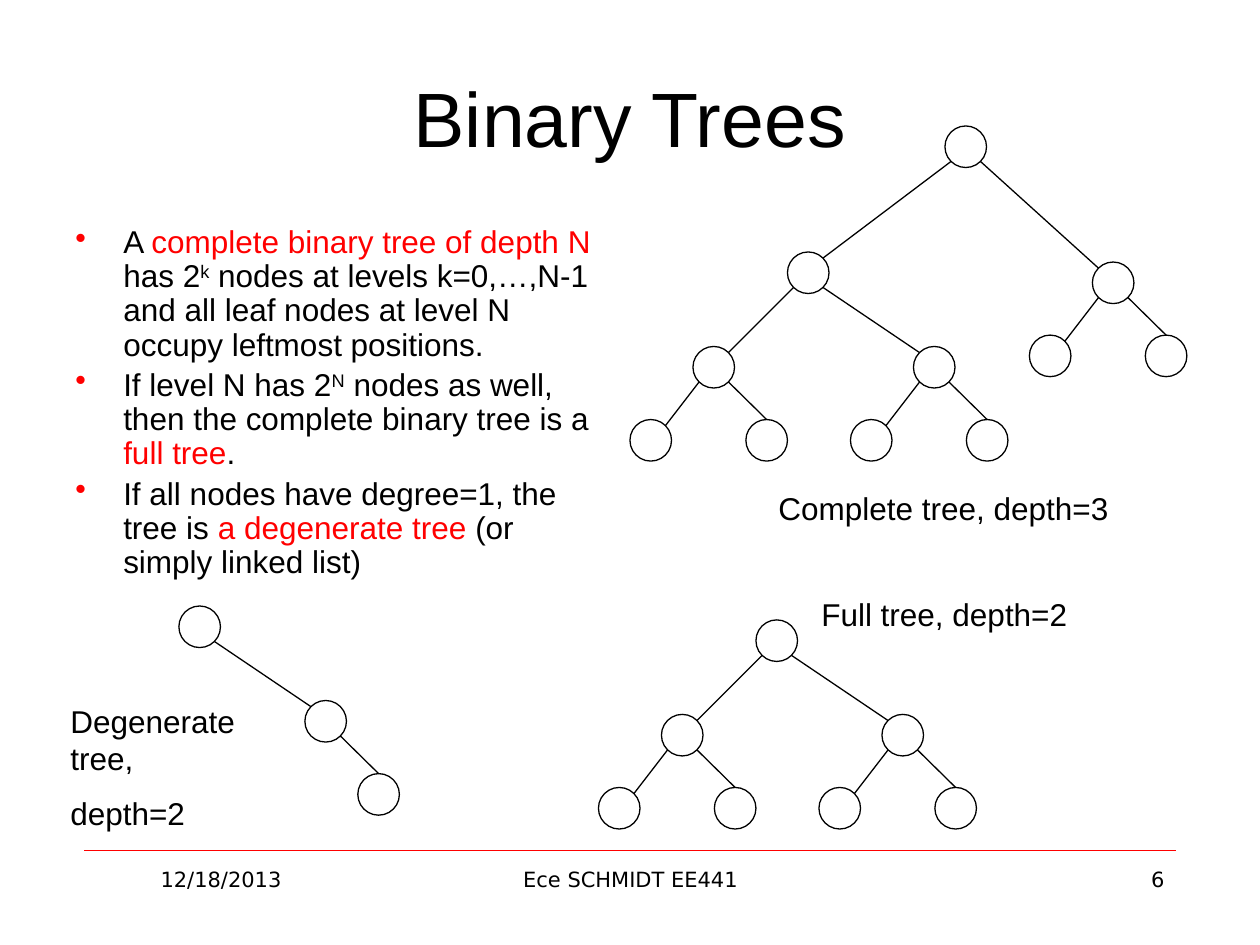
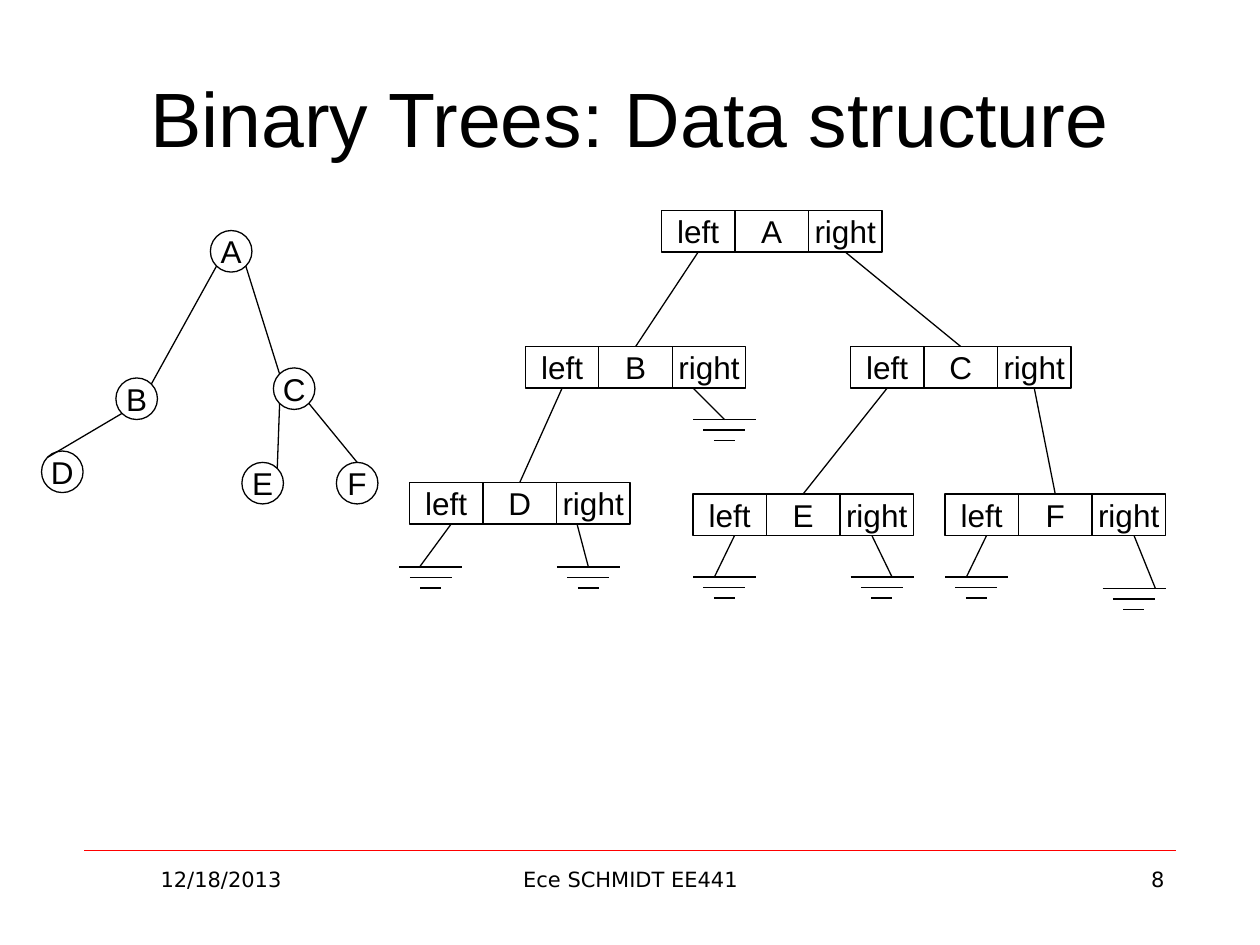
from lxml import etree
from pptx import Presentation
from pptx.dml.color import RGBColor
from pptx.enum.shapes import MSO_CONNECTOR as Connector, MSO_SHAPE as Preset
from pptx.enum.text import MSO_ANCHOR as Anchor, PP_ALIGN as Align
from pptx.oxml.ns import qn
from pptx.util import Inches, Pt

BLACK = RGBColor(0x00, 0x00, 0x00)
RED = RGBColor(0xFF, 0x00, 0x00)
BODY_FONT, FOOTER_FONT = "Arial", "DejaVu Sans"
FOOTER_TOP, FOOTER_HEIGHT = 6.83, 0.52
NODE = 0.33            # node diameter and record height
FIELD = 1.75 / 3       # width of one record field

# Points on a node where edges meet, as fractions of its diameter
SITES = {"top": (0.5, 0), "tl": (0.15, 0.15), "tr": (0.85, 0.15),
         "bl": (0.15, 0.85), "br": (0.85, 0.85)}


class Deck:
    def __init__(self):
        self.prs = Presentation()
        self.prs.slide_width, self.prs.slide_height = Inches(10), Inches(7.5)
        self.slide = None

    def new_slide(self, title, number):
        self.slide = self.prs.slides.add_slide(self.prs.slide_layouts[6])
        self.line((0.67, 6.75), (9.33, 6.75), RED, 0.25)
        footers = ((0.67, 2.17, "12/18/2013", Align.CENTER),
                   (3.42, 3.17, "Ece SCHMIDT EE441", Align.CENTER),
                   (7.17, 2.17, str(number), Align.RIGHT))
        for left, width, text, align in footers:
            self.text(left, FOOTER_TOP, width, FOOTER_HEIGHT, [text],
                      size=12, font=FOOTER_FONT, align=align)
        self.text(0.5, 0.3, 9, 1.25, [title], size=44, align=Align.CENTER,
                  anchor=Anchor.MIDDLE)

    def style(self, paragraph, size=18, font=BODY_FONT, align=Align.LEFT):
        paragraph.alignment = align
        paragraph.font.size = Pt(size)
        paragraph.font.name = font
        paragraph.font.color.rgb = BLACK

    def text(self, left, top, width, height, lines, anchor=Anchor.TOP,
             space_before=0, **style):
        frame = self.slide.shapes.add_textbox(
            Inches(left), Inches(top), Inches(width), Inches(height)).text_frame
        frame.word_wrap = True
        frame.vertical_anchor = anchor
        for index, line in enumerate(lines):
            paragraph = frame.add_paragraph() if index else frame.paragraphs[0]
            self.style(paragraph, **style)
            paragraph.space_before = Pt(space_before)
            # A line is plain text or a list of (text, look) pieces
            pieces = [(line, "")] if isinstance(line, str) else line
            for piece, look in pieces:
                run = paragraph.add_run()
                run.text = piece
                if look == "red":
                    run.font.color.rgb = RED
                elif look == "super":
                    run.font._element.set("baseline", "30000")
        return frame

    def bullets(self, left, top, width, height, lines):
        frame = self.text(left, top, width, height, lines, space_before=3.7)
        indent = Inches(0.38)
        for paragraph in frame.paragraphs:
            paragraph.line_spacing = 0.9
            props = paragraph._p.get_or_add_pPr()
            props.set("marL", str(indent))
            props.set("indent", str(-indent))
            colour = etree.Element(qn("a:buClr"))
            etree.SubElement(colour, qn("a:srgbClr")).set("val", str(RED))
            mark = etree.Element(qn("a:buChar"))
            mark.set("char", "•")
            spacing_end = props.index(props.find(qn("a:spcBef"))) + 1
            props[spacing_end:spacing_end] = [colour, mark]

    def label(self, left, top, width, height, *lines):
        self.text(left, top, width, height, lines, space_before=9.5)

    def line(self, start, end, colour=BLACK, weight=0.75, parts=None):
        parts = parts or self.slide.shapes
        link = parts.add_connector(Connector.STRAIGHT,
                                   *map(Inches, (*start, *end)))
        link.line.color.rgb = colour
        link.line.width = Pt(weight)
        etree.SubElement(link._element.spPr, qn("a:effectLst"))

    def outline(self, preset, left, top, width, text="", parts=None):
        parts = parts or self.slide.shapes
        box = parts.add_shape(preset, *map(Inches, (left, top, width, NODE)))
        box.shadow.inherit = False
        box.fill.background()
        box.line.color.rgb = BLACK
        box.line.width = Pt(0.75)
        if text:
            frame = box.text_frame
            frame.word_wrap = False
            frame.vertical_anchor = Anchor.MIDDLE
            frame.text = text
            self.style(frame.paragraphs[0], align=Align.CENTER)

    # Trees of round nodes; a node is known by its left and top
    def node(self, left, top, text=""):
        self.outline(Preset.OVAL, left, top, NODE, text)
        return left, top

    def edge(self, parent, start, child, end):
        ends = [tuple(at + NODE * share for at, share in zip(node, SITES[site]))
                for node, site in ((parent, start), (child, end))]
        self.line(*ends)

    def fork(self, left, top):
        """A node with two leaves."""
        parent = self.node(left, top)
        self.edge(parent, "bl", self.node(left - 0.5, top + 0.58), "tr")
        self.edge(parent, "br", self.node(left + 0.42, top + 0.58), "top")
        return parent

    def join(self, root, left_child, right_child):
        self.edge(root, "bl", left_child, "tr")
        self.edge(root, "br", right_child, "tl")
        return root

    def full_tree(self, left, top):
        """A full tree of depth 2 with its root at left, top."""
        return self.join(self.node(left, top),
                         self.fork(left - 0.75, top + 0.75),
                         self.fork(left + 1, top + 0.75))

    # Linked records
    def record(self, left, top, key):
        parts = self.slide.shapes.add_group_shape().shapes
        for index, field in enumerate(("left", key, "right")):
            self.outline(Preset.RECTANGLE, left + index * FIELD, top, FIELD,
                         field, parts)

    def pointer(self, parent, field, child):
        """Link field 0 (left) or 2 (right) of parent to the top of child."""
        self.line((parent[0] + (field + 0.5) * FIELD, parent[1] + NODE),
                  (child[0] + 1.5 * FIELD, child[1]))

    def ground(self, left, top):
        """Three shrinking bars that stand for a null pointer."""
        parts = self.slide.shapes.add_group_shape().shapes
        step = 0.25 / 3
        for index in range(3):
            inset, level = index * step, top + index * step
            self.line((left + inset, level), (left + 0.5 - inset, level),
                      parts=parts)


def tree_kinds(deck):
    deck.new_slide("Binary Trees", 6)
    deck.bullets(0.5, 1.75, 4.42, 4.95, [
        [("A ", ""), ("complete binary tree of depth N ", "red"),
         ("has 2", ""), ("k", "super"),
         (" nodes at levels k=0,…,N-1 and all leaf nodes at level N "
          "occupy leftmost positions.", "")],
        [("If level N has 2", ""), ("N", "super"),
         (" nodes as well, then the complete binary tree is a ", ""),
         ("full tree", "red"), (".", "")],
        [("If all nodes have degree=1, the tree is ", ""),
         ("a degenerate tree ", "red"), ("(or simply linked list)", "")],
    ])

    # Complete tree
    deck.join(deck.node(7.5, 1), deck.full_tree(6.25, 2), deck.fork(8.67, 2.08))
    deck.label(6.08, 3.83, 3.58, 0.4, "Complete tree, depth=3")

    # Full tree
    deck.full_tree(6, 4.92)
    deck.label(6.42, 4.67, 3.58, 0.4, "Full tree, depth=2")

    # Degenerate tree
    root, middle, leaf = (deck.node(*at) for at in
                          ((1.42, 4.81), (2.42, 5.56), (2.84, 6.14)))
    deck.edge(root, "br", middle, "tl")
    deck.edge(middle, "br", leaf, "top")
    deck.label(0.46, 5.52, 1.62, 1.16, "Degenerate tree,", "depth=2")


def data_structure(deck):
    deck.new_slide("Binary Trees: Data structure", 8)

    # Tree of lettered nodes
    nodes = {"A": (1.67, 1.83), "B": (0.92, 3), "C": (2.17, 2.92),
             "D": (0.33, 3.58), "E": (1.92, 3.67), "F": (2.67, 3.67)}
    for key, at in nodes.items():
        deck.node(*at, key)
    for parent, start, child, end in (
            ("A", "bl", "B", "tr"), ("A", "br", "C", "tl"),
            ("B", "bl", "D", "tl"), ("C", "bl", "E", "tr"),
            ("C", "br", "F", "top")):
        deck.edge(nodes[parent], start, nodes[child], end)

    # The same tree as linked records
    records = {"A": (5.25, 1.67), "B": (4.17, 2.75), "C": (6.75, 2.75),
               "D": (3.25, 3.83), "E": (5.5, 3.92), "F": (7.5, 3.92)}
    for key, at in records.items():
        deck.record(*at, key)
    for parent, field, child in (("A", 0, "B"), ("A", 2, "C"), ("B", 0, "D"),
                                 ("C", 0, "E"), ("C", 2, "F")):
        deck.pointer(records[parent], field, records[child])

    # Null pointers: record, wire start, wire end, ground left and top
    for key, start, end, left, top in (
            ("B", 5.5, 5.75, 5.5, 3.33),
            ("D", 3.58, 3.33, 3.17, 4.5), ("D", 4.58, 4.67, 4.42, 4.5),
            ("E", 5.83, 5.67, 5.5, 4.58), ("E", 6.92, 7.08, 6.75, 4.58),
            ("F", 7.83, 7.67, 7.5, 4.58), ("F", 9, 9.17, 8.75, 4.67)):
        deck.ground(left, top)
        deck.line((start, records[key][1] + NODE), (end, top))


def main():
    deck = Deck()
    tree_kinds(deck)
    data_structure(deck)
    deck.prs.save("out.pptx")


if __name__ == "__main__":
    main()
